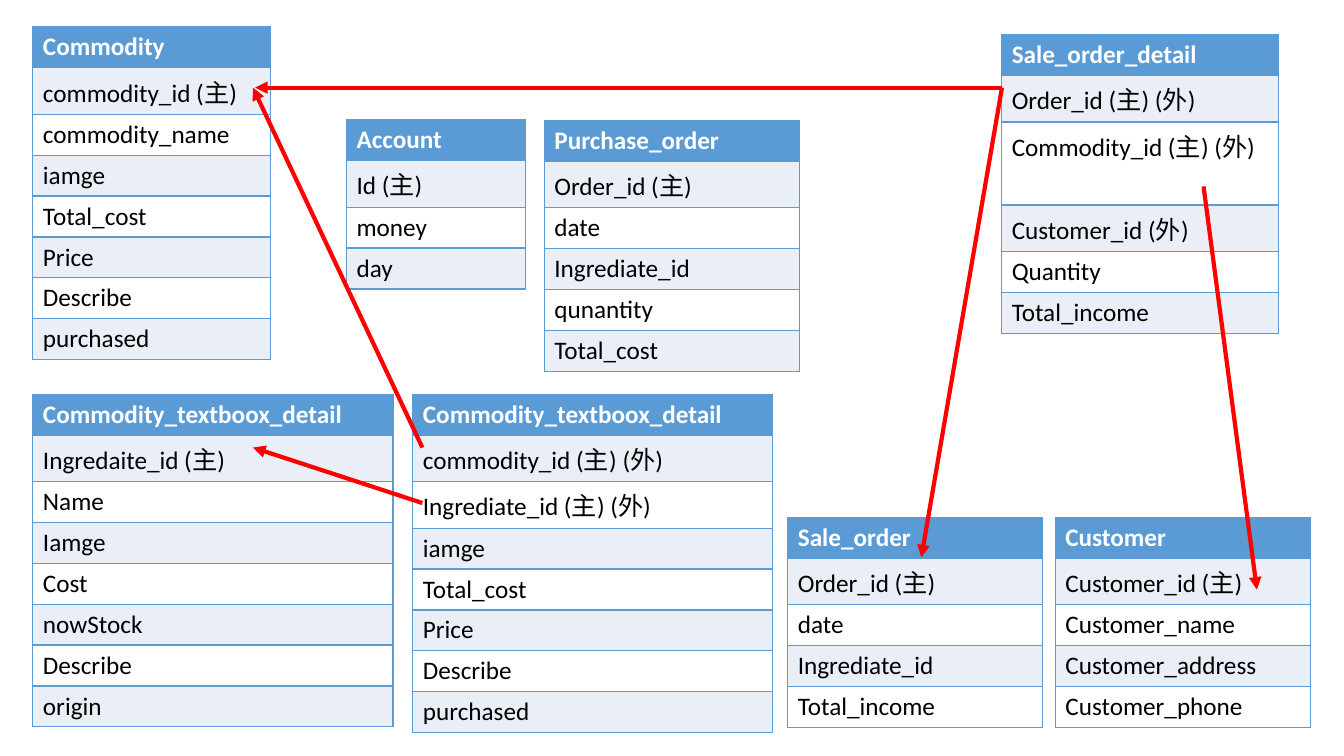
from dataclasses import dataclass

from lxml.etree import SubElement
from pptx import Presentation
from pptx.dml.color import RGBColor as Rgb
from pptx.enum.shapes import MSO_CONNECTOR as Connector
from pptx.oxml import parse_xml
from pptx.oxml.ns import nsdecls, qn
from pptx.slide import Slide
from pptx.table import _Cell as Cell
from pptx.util import Pt

COLOURS = {
    "header": "5B9BD5",
    "border": "5B9BD5",
    "band": "EAEFF7",
    "plain": "FFFFFF",
    "header_text": "FFFFFF",
    "body_text": "000000",
    "arrow": "FF0000",
}
FONT_FORMAT = {"name": "Calibri", "size": Pt(18)}
ROW_HEIGHT = 29.2
BORDER_WIDTH = 1
ARROW_WIDTH = 3


@dataclass
class Entity:
    name: str
    left: float
    top: float
    width: float
    fields: list[str]


@dataclass
class Arrow:
    start: tuple[float, float]
    end: tuple[float, float]


ENTITIES = [
    Entity("Account", 247.5, 85.5, 128, ["Id (主)", "money", "day"]),
    Entity("Commodity", 23.5, 19.2, 169.9,
           ["commodity_id (主)", "commodity_name", "iamge", "Total_cost",
            "Price", "Describe", "purchased"]),
    Entity("Commodity_textboox_detail", 294.9, 281.5, 257.2,
           ["commodity_id (主) (外)", "Ingrediate_id (主) (外)", "iamge",
            "Total_cost", "Price", "Describe", "purchased"]),
    Entity("Commodity_textboox_detail", 23.5, 281.5, 257.2,
           ["Ingredaite_id (主)", "Name", "Iamge", "Cost", "nowStock",
            "Describe", "origin"]),
    Entity("Customer", 753.8, 369.5, 182.4,
           ["Customer_id (主)", "Customer_name", "Customer_address",
            "Customer_phone"]),
    Entity("Purchase_order", 388.8, 85.8, 182.2,
           ["Order_id (主)", "date", "Ingrediate_id", "qunantity",
            "Total_cost"]),
    Entity("Sale_order", 562.7, 369.5, 182.2,
           ["Order_id (主)", "date", "Ingrediate_id", "Total_income"]),
    Entity("Sale_order_detail", 715.5, 24.6, 198,
           ["Order_id (主) (外)", "Commodity_id (主) (外)",
            "Customer_id (外)", "Quantity", "Total_income"]),
]

# Each arrow runs from a foreign key to the key it refers to
ARROWS = [
    Arrow((301.7, 359.3), (180.7, 319.7)),
    Arrow((301.7, 319.7), (180.7, 62.6)),
    Arrow((715.7, 62.6), (658.1, 398.2)),
    Arrow((859.7, 133.2), (897.8, 421.2)),
    Arrow((715.7, 62.6), (182.2, 62.6)),
]


def colour(name: str) -> Rgb:
    return Rgb.from_string(COLOURS[name])


def add_borders(cell: Cell) -> None:
    properties = cell._tc.get_or_add_tcPr()
    for position, side in enumerate(("lnL", "lnR", "lnT", "lnB")):
        properties.insert(position, parse_xml(
            f'<a:{side} {nsdecls("a")} w="{Pt(BORDER_WIDTH)}"><a:solidFill>'
            f'<a:srgbClr val="{COLOURS["border"]}"/></a:solidFill></a:{side}>'))


def fill_cell(cell: Cell, text: str, row: int) -> None:
    is_header = row == 0
    cell.fill.solid()
    cell.fill.fore_color.rgb = colour(
        "header" if is_header else "band" if row % 2 else "plain")
    add_borders(cell)
    span = cell.text_frame.paragraphs[0].add_run()
    span.text = text
    for attribute, value in {**FONT_FORMAT, "bold": is_header}.items():
        setattr(span.font, attribute, value)
    span.font.color.rgb = colour("header_text" if is_header else "body_text")


def draw_entity(page: Slide, entity: Entity) -> None:
    texts = [entity.name, *entity.fields]
    table = page.shapes.add_table(
        len(texts), 1, Pt(entity.left), Pt(entity.top),
        Pt(entity.width), Pt(ROW_HEIGHT * len(texts))).table
    for row, text in enumerate(texts):
        table.rows[row].height = Pt(ROW_HEIGHT)
        fill_cell(table.cell(row, 0), text, row)


def draw_arrow(page: Slide, arrow: Arrow) -> None:
    ends = [Pt(value) for value in (*arrow.start, *arrow.end)]
    connector = page.shapes.add_connector(Connector.STRAIGHT, *ends)
    connector.line.color.rgb = colour("arrow")
    connector.line.width = Pt(ARROW_WIDTH)
    SubElement(connector.line._get_or_add_ln(), qn("a:tailEnd"), type="triangle")
    SubElement(connector._element.spPr, qn("a:effectLst"))


def main() -> None:
    deck = Presentation()
    deck.slide_width, deck.slide_height = Pt(960), Pt(540)
    page = deck.slides.add_slide(deck.slide_layouts[6])

    # Tables of the schema
    for entity in ENTITIES:
        draw_entity(page, entity)

    # Key references
    for arrow in ARROWS:
        draw_arrow(page, arrow)

    deck.save("out.pptx")


if __name__ == "__main__":
    main()
